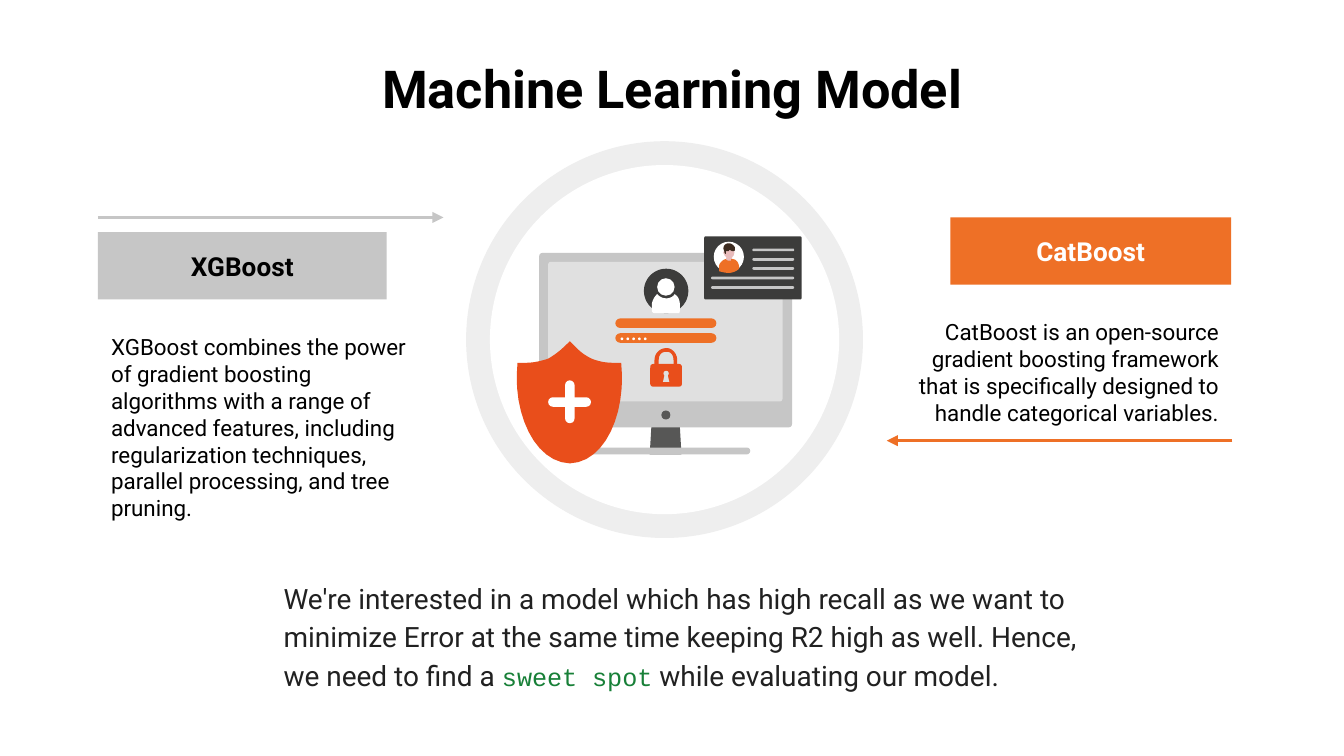
import pptx
import pptx.util
import pptx.dml.color
import pptx.enum.shapes
import pptx.enum.text
import lxml.etree
from pptx.util import Cm

RGBColor = pptx.dml.color.RGBColor
BLACK = RGBColor(0x00, 0x00, 0x00)
WHITE = RGBColor(0xFF, 0xFF, 0xFF)
INK = RGBColor(0x21, 0x21, 0x21)
GREEN = RGBColor(0x18, 0x80, 0x38)
ORANGE = RGBColor(0xEE, 0x70, 0x26)
RED = RGBColor(0xE9, 0x4E, 0x1B)
SILVER = RGBColor(0xC6, 0xC6, 0xC6)
SCREEN = RGBColor(0xE0, 0xE0, 0xE0)
RING = RGBColor(0xEE, 0xEE, 0xEE)
STEEL = RGBColor(0x57, 0x57, 0x56)
CHARCOAL = RGBColor(0x3C, 0x3C, 0x3B)
SKIN = RGBColor(0xE8, 0xBB, 0xBB)
HAIR = RGBColor(0x3C, 0x2B, 0x20)

KIND = pptx.enum.shapes.MSO_SHAPE
RECTANGLE, ROUNDED = KIND.RECTANGLE, KIND.ROUNDED_RECTANGLE
OVAL, TRAPEZOID = KIND.OVAL, KIND.TRAPEZOID
ALIGN = pptx.enum.text.PP_ALIGN
ANCHOR = pptx.enum.text.MSO_ANCHOR

presentation = pptx.Presentation()
presentation.slide_width = Cm(25.4)
presentation.slide_height = Cm(14.29)
slide = presentation.slides.add_slide(presentation.slide_layouts[6])


def add_solid(kind, left, top, width, height, color, adjustment=None):
    shape = slide.shapes.add_shape(kind, Cm(left), Cm(top), Cm(width), Cm(height))
    shape.shadow.inherit = False
    shape.fill.solid()
    shape.fill.fore_color.rgb = color
    shape.line.fill.background()
    if adjustment is not None:
        shape.adjustments[0] = adjustment
    return shape


def add_outline(color, start, *segments):
    points = [start]
    for segment in segments:
        x0, y0 = points[-1]
        if len(segment) == 2:
            points.append(segment)
            continue
        x1, y1, x2, y2, x3, y3 = segment
        for step in range(1, 13):
            t = step / 12
            a, b, c, d = (1 - t) ** 3, 3 * t * (1 - t) ** 2, 3 * t * t * (1 - t), t ** 3
            points.append((a * x0 + b * x1 + c * x2 + d * x3,
                           a * y0 + b * y1 + c * y2 + d * y3))
    corners = [(Cm(x), Cm(y)) for x, y in points]
    builder = slide.shapes.build_freeform(*corners[0])
    builder.add_line_segments(corners[1:], close=True)
    shape = builder.convert_to_shape()
    shape.shadow.inherit = False
    shape.fill.solid()
    shape.fill.fore_color.rgb = color
    shape.line.fill.background()


title = slide.shapes.add_textbox(Cm(1.27), Cm(0.81), Cm(22.86), Cm(1.6))
xgboost_label = add_solid(RECTANGLE, 1.85, 4.39, 5.46, 1.27, SILVER)
catboost_label = add_solid(RECTANGLE, 17.96, 4.11, 5.31, 1.27, ORANGE)
catboost_text = slide.shapes.add_textbox(Cm(16.94), Cm(5.77), Cm(6.35), Cm(2.67))
xgboost_text = slide.shapes.add_textbox(Cm(1.85), Cm(6.05), Cm(6.35), Cm(2.34))
summary = slide.shapes.add_textbox(Cm(5.11), Cm(10.64), Cm(15.98), Cm(2.64))

for shape, align, anchor, before, after, spacing, runs in [
    (title, ALIGN.CENTER, ANCHOR.TOP, 0, 0, 1.0,
     [("Machine Learning Model", 28, "Roboto", BLACK, True)]),
    (xgboost_label, ALIGN.CENTER, ANCHOR.MIDDLE, 0, 0, 1.0,
     [("XGBoost", 14, "Roboto", BLACK, True)]),
    (catboost_label, ALIGN.CENTER, ANCHOR.MIDDLE, 0, 0, 1.0,
     [("CatBoost", 14, "Roboto", WHITE, True)]),
    (catboost_text, ALIGN.RIGHT, ANCHOR.TOP, 0, 16, 1.0,
     [("CatBoost is an open-source gradient boosting framework that is specifically "
       "designed to handle categorical variables.", 12, "Roboto", BLACK, False)]),
    (xgboost_text, ALIGN.LEFT, ANCHOR.TOP, 0, 16, 1.0,
     [("XGBoost combines the power of gradient boosting algorithms with a range of "
       "advanced features, including regularization techniques, parallel processing, "
       "and tree pruning.", 12, "Roboto", BLACK, False)]),
    (summary, ALIGN.LEFT, ANCHOR.TOP, 7, 7, 1.15,
     [("We're interested in a model which has high recall as we want to minimize Error "
       "at the same time keeping R2 high as well. Hence, we need to find a ",
       15, "Roboto", INK, False),
      ("sweet spot", 13.5, "Courier New", GREEN, False),
      (" while evaluating our model.", 15, "Roboto", INK, False)]),
]:
    frame = shape.text_frame
    frame.word_wrap = True
    frame.vertical_anchor = anchor
    frame.margin_left = frame.margin_right = Cm(0.25)
    frame.margin_top = frame.margin_bottom = Cm(0.25)
    paragraph = frame.paragraphs[0]
    paragraph.alignment = align
    paragraph.space_before = pptx.util.Pt(before)
    paragraph.space_after = pptx.util.Pt(after)
    paragraph.line_spacing = spacing
    for text, size, font, color, bold in runs:
        run = paragraph.add_run()
        run.text = text
        run.font.size = pptx.util.Pt(size)
        run.font.name = font
        run.font.bold = bold
        run.font.color.rgb = color

for start, end, y, color in [(1.85, 8.38, 4.11, SILVER), (23.29, 16.76, 8.33, ORANGE)]:
    arrow = slide.shapes.add_connector(
        pptx.enum.shapes.MSO_CONNECTOR.STRAIGHT, Cm(start), Cm(y), Cm(end), Cm(y))
    arrow.line.color.rgb = color
    arrow.line.width = pptx.util.Pt(1.5)
    namespace = "{http://schemas.openxmlformats.org/drawingml/2006/main}"
    lxml.etree.SubElement(arrow.line._get_or_add_ln(), namespace + "tailEnd", type="triangle")
    lxml.etree.SubElement(arrow._element.spPr, namespace + "effectLst")

add_solid(OVAL, 8.81, 2.67, 7.5, 7.5, RING)
add_solid(OVAL, 9.26, 3.12, 6.6, 6.6, WHITE)

add_solid(TRAPEZOID, 12.28, 6.86, 0.6, 1.73, STEEL, 0.17)
add_solid(ROUNDED, 10.19, 4.78, 4.78, 3.3, SILVER, 0.02)
add_solid(ROUNDED, 10.36, 4.95, 4.43, 2.64, SCREEN, 0.02)
add_solid(ROUNDED, 11, 8.46, 3.18, 0.13, SILVER, 0.5)
add_solid(OVAL, 12.5, 7.76, 0.17, 0.17, STEEL)

for top in (6.02, 6.3):
    add_solid(ROUNDED, 11.63, top, 1.91, 0.18, ORANGE, 0.5)
for index in range(5):
    add_solid(OVAL, 11.73 + 0.11 * index, 6.38, 0.05, 0.05, WHITE)

add_outline(RED, (12.6, 6.58), (12.47, 6.58, 12.37, 6.68, 12.37, 6.81), (12.37, 6.88),
            (12.45, 6.88), (12.45, 6.81), (12.45, 6.71, 12.5, 6.65, 12.6, 6.65),
            (12.68, 6.65, 12.73, 6.71, 12.73, 6.81), (12.73, 6.88), (12.8, 6.88),
            (12.8, 6.81), (12.8, 6.68, 12.7, 6.58, 12.6, 6.58))
add_solid(ROUNDED, 12.29, 6.88, 0.6, 0.43, RED, 0.13)
add_solid(OVAL, 12.54, 7.01, 0.1, 0.1, SCREEN)
add_solid(TRAPEZOID, 12.53, 7.09, 0.12, 0.13, SCREEN, 0.25)

add_solid(OVAL, 12.17, 5.08, 0.84, 0.84, CHARCOAL)
add_solid(OVAL, 12.42, 5.26, 0.33, 0.33, WHITE)
add_outline(WHITE, (12.42, 5.56), (12.37, 5.61, 12.32, 5.69, 12.32, 5.77), (12.32, 5.87),
            (12.32, 5.89, 12.34, 5.92, 12.37, 5.92), (12.83, 5.92),
            (12.84, 5.92, 12.85, 5.89, 12.85, 5.87), (12.85, 5.77),
            (12.85, 5.69, 12.83, 5.61, 12.75, 5.56),
            (12.73, 5.61, 12.65, 5.64, 12.6, 5.64), (12.52, 5.64, 12.47, 5.61, 12.42, 5.56))

add_solid(ROUNDED, 13.31, 4.47, 1.84, 1.19, CHARCOAL, 0.02)
add_solid(OVAL, 13.49, 4.57, 0.57, 0.57, WHITE)
add_outline(SKIN, (13.74, 4.83), (13.74, 4.85, 13.72, 4.88, 13.72, 4.9),
            (13.69, 4.93, 13.67, 4.93, 13.64, 4.95), (13.64, 4.98, 13.67, 5.03, 13.67, 5.08),
            (13.89, 5.08), (13.87, 5.03, 13.87, 4.98, 13.87, 4.93),
            (13.82, 4.9, 13.84, 4.85, 13.84, 4.85))
add_solid(OVAL, 13.68, 4.67, 0.2, 0.21, SKIN)
add_solid(OVAL, 13.67, 4.75, 0.04, 0.05, SKIN)
add_outline(ORANGE, (13.72, 4.9), (13.69, 4.9, 13.64, 4.93, 13.61, 4.98),
            (13.59, 4.98, 13.59, 5.08, 13.59, 5.13), (13.61, 5.13, 13.69, 5.16, 13.77, 5.16),
            (13.84, 5.16, 13.92, 5.13, 13.97, 5.08), (13.97, 5.05, 13.97, 4.98, 13.92, 4.93),
            (13.89, 4.9, 13.87, 4.9, 13.82, 4.9), (13.82, 4.93, 13.82, 4.93, 13.79, 4.93),
            (13.77, 4.93, 13.74, 4.93, 13.72, 4.9))
add_outline(HAIR, (13.77, 4.6), (13.72, 4.6, 13.64, 4.65, 13.69, 4.75),
            (13.69, 4.8, 13.72, 4.8, 13.72, 4.8), (13.72, 4.75), (13.77, 4.75),
            (13.79, 4.72), (13.84, 4.75), (13.87, 4.75),
            (13.89, 4.75, 13.89, 4.72, 13.89, 4.7), (13.89, 4.67, 13.89, 4.67, 13.87, 4.65),
            (13.87, 4.65, 13.84, 4.6, 13.77, 4.6))
for left, top, width in [(13.44, 5.23, 1.57), (13.44, 5.41, 1.57),
                         (14.22, 4.7, 0.79), (14.22, 4.88, 0.79), (14.22, 5.05, 0.79)]:
    add_solid(ROUNDED, left, top, width, 0.05, SILVER, 0.5)

add_outline(RED, (10.77, 6.45), (10.67, 6.55, 10.54, 6.68, 10.36, 6.78),
            (10.13, 6.86, 9.98, 6.86, 9.86, 6.86), (9.78, 6.86),
            (9.68, 7.82, 10.11, 8.74, 10.77, 8.76), (11.43, 8.74, 11.84, 7.82, 11.74, 6.86),
            (11.68, 6.86), (11.53, 6.86, 11.38, 6.86, 11.18, 6.78),
            (10.97, 6.68, 10.87, 6.55, 10.77, 6.45))
add_solid(ROUNDED, 10.36, 7.51, 0.81, 0.18, WHITE, 0.5)
add_solid(ROUNDED, 10.68, 7.19, 0.18, 0.81, WHITE, 0.5)

presentation.save("out.pptx")
